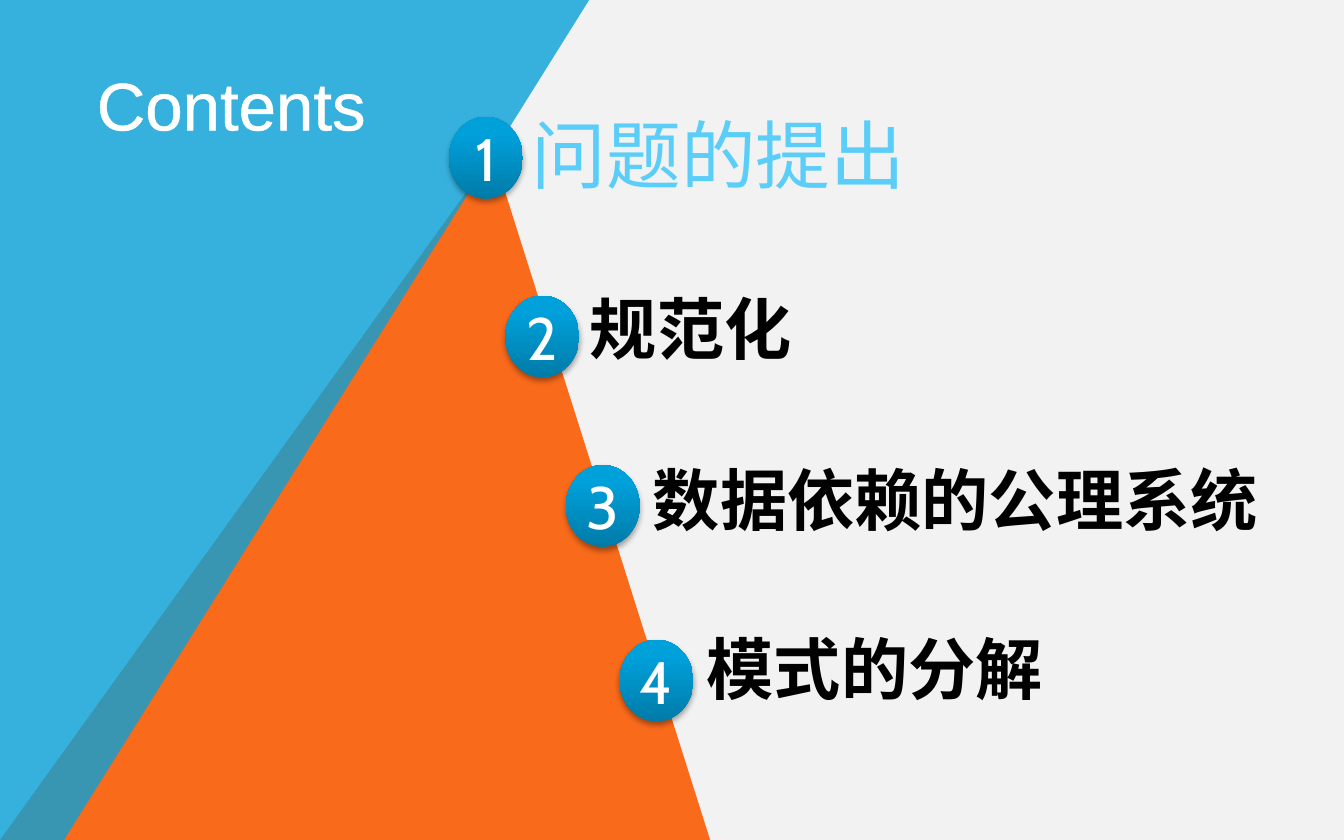
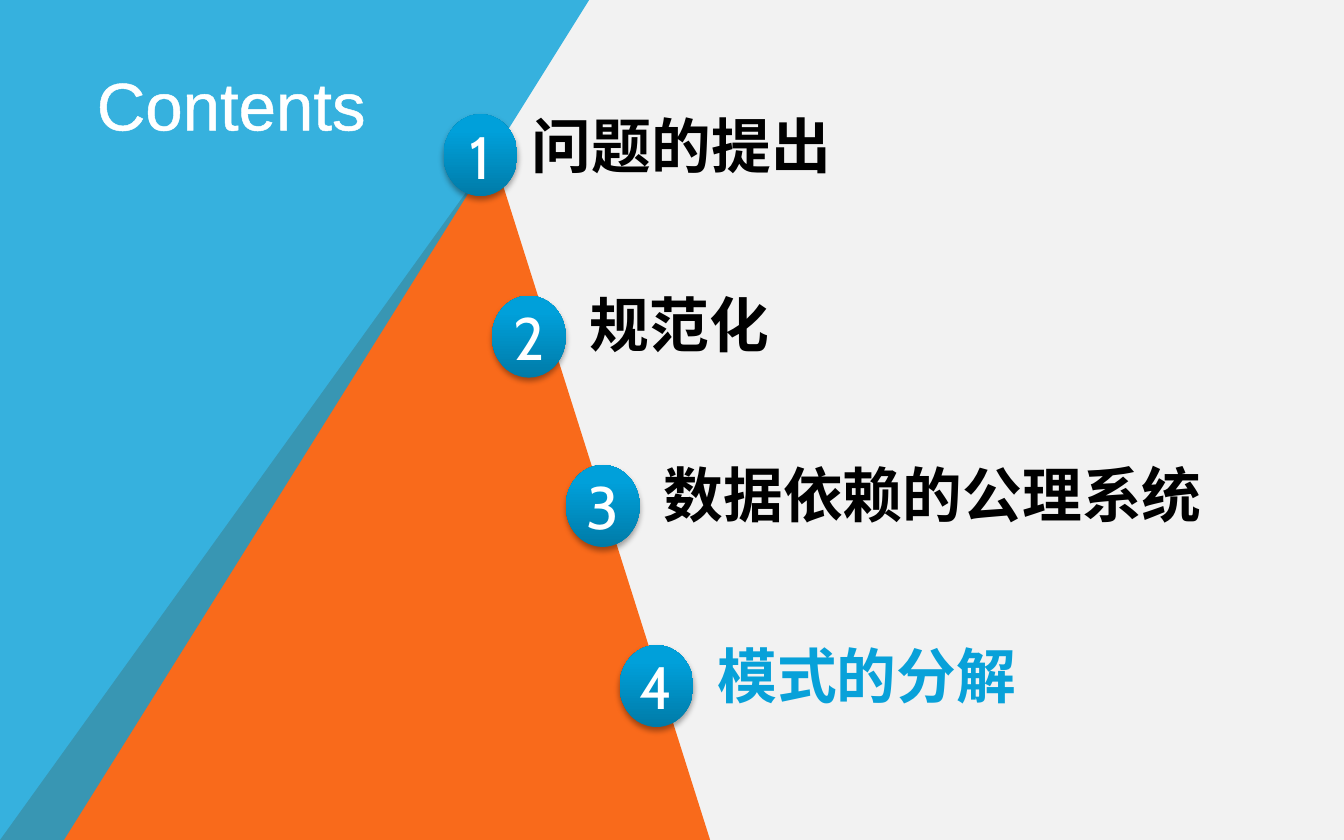
"""Build two agenda slides that share a layout with angled colour panels."""
from dataclasses import dataclass
from typing import Optional

from lxml.etree import SubElement
from pptx import Presentation
from pptx.dml.color import RGBColor
from pptx.enum.lang import MSO_LANGUAGE_ID
from pptx.enum.shapes import MSO_SHAPE
from pptx.enum.text import MSO_ANCHOR, MSO_AUTO_SIZE, PP_ALIGN
from pptx.oxml import parse_xml
from pptx.oxml.ns import nsdecls, qn
from pptx.util import Inches, Pt

WIDTH, HEIGHT = Inches(10), Inches(6.25)
COLS, ROWS = 100, 62.5
COLORS = {
    "paper": "F2F2F2", "orange": "F96A1B", "blue": "08A1D9", "sky": "5ACEF9",
    "disc_low": "007BA8", "disc_mid": "00A0DA", "disc_top": "00A0DB",
    "white": "FFFFFF", "black": "000000",
}
TEXT_FONT, NUMBER_FONT = "Arial", "Cabin"
DISC_W, DISC_H = 5.5, 6.1
TOPICS = ["问题的提出", "规范化", "数据依赖的公理系统", "模式的分解"]


@dataclass
class Panel:
    """A filled polygon with corners in columns and rows."""
    corners: list[tuple[float, float]]
    color: str
    alpha: Optional[int] = None


@dataclass
class Entry:
    """Grid places of one numbered disc and its label."""
    disc_x: float
    disc_y: float
    x: float
    y: float
    w: float
    size: int = 32
    color: str = "black"
    bold: bool = True


PANELS = [
    Panel([(0, 62.5), (36.7, 11.5), (52.9, 62.7)], "orange"),
    Panel([(-0.1, 62.9), (0, -0.1), (43.9, -0.1), (4.7, 62.6)], "blue", 80),
]
AGENDAS = [
    [Entry(33.4, 8.7, 38.6, 7.6, 35.8, 40, "sky", False),
     Entry(37.6, 22, 42.9, 20.9, 20.9, 36),
     Entry(42.1, 34.6, 47.6, 33.6, 49.6, 36),
     Entry(46.1, 47.6, 51.6, 46.2, 38.6, 36)],
    [Entry(33, 8.5, 38.6, 7.6, 35.8),
     Entry(36.6, 22, 42.9, 20.9, 16.6),
     Entry(42.1, 34.6, 48.4, 33.6, 44.1),
     Entry(46.1, 48, 52.4, 47, 24.4, color="blue")],
]


def col(n: float) -> int:
    """Return the length of n columns."""
    return round(WIDTH * n / COLS)


def row(n: float) -> int:
    """Return the length of n rows."""
    return round(HEIGHT * n / ROWS)


def rgb(name: str) -> RGBColor:
    """Look up a named colour."""
    return RGBColor.from_string(COLORS[name])


def style_text(tf, size: int, color: str, font: str, bold: bool = False) -> None:
    """Format the single run of a text frame."""
    f = tf.paragraphs[0].runs[0].font
    f.size, f.name, f.bold = Pt(size), font, bold
    f.color.rgb = rgb(color)


def draw_panel(s, layout, panel: Panel) -> None:
    """Draw a panel and move it to the shared layout."""
    points = [(col(x), row(y)) for x, y in panel.corners]
    builder = s.shapes.build_freeform(*points[0], scale=1.0)
    builder.add_line_segments(points[1:], close=True)
    sp = builder.convert_to_shape()
    sp.shadow.inherit = False
    sp.fill.solid()
    sp.fill.fore_color.rgb = rgb(panel.color)
    sp.line.fill.background()
    if panel.alpha:
        clr = sp._element.spPr.find(".//" + qn("a:srgbClr"))
        SubElement(clr, qn("a:alpha"), val=str(panel.alpha * 1000))
    layout.shapes._spTree.append(sp._element)


def draw_title(s) -> None:
    """Place and format the title."""
    sp = s.shapes.title
    sp.left, sp.top, sp.width, sp.height = col(6.2), row(3.7), col(26.8), row(5.9)
    tf = sp.text_frame
    tf.text = "Contents"
    tf.auto_size = MSO_AUTO_SIZE.NONE
    tf.vertical_anchor = MSO_ANCHOR.TOP
    tf.margin_top = row(1)
    p = tf.paragraphs[0]
    p.alignment = PP_ALIGN.LEFT
    style_text(tf, 36, "white", TEXT_FONT)
    p.runs[0]._r.get_or_add_rPr().insert(0, parse_xml(
        f'<a:ln {nsdecls("a")} w="{Pt(1.45)}"><a:solidFill>'
        f'<a:srgbClr val="{COLORS["white"]}"/></a:solidFill></a:ln>'))


def draw_disc(s, number: int, entry: Entry) -> None:
    """Draw a shaded disc holding its number."""
    sp = s.shapes.add_shape(MSO_SHAPE.OVAL, col(entry.disc_x), row(entry.disc_y),
                            col(DISC_W), row(DISC_H))
    sp.line.fill.background()
    stops = "".join(
        f'<a:gs pos="{pos * 1000}"><a:srgbClr val="{COLORS[name]}"/></a:gs>'
        for pos, name in ((0, "disc_low"), (80, "disc_mid"), (100, "disc_top")))
    sp._element.spPr.insert(2, parse_xml(
        f'<a:gradFill {nsdecls("a")} rotWithShape="1"><a:gsLst>{stops}</a:gsLst>'
        '<a:lin ang="16200000" scaled="0"/></a:gradFill>'))
    sp._element.spPr.append(parse_xml(
        f'<a:effectLst {nsdecls("a")}><a:outerShdw blurRad="{Pt(3.1)}" '
        f'dist="{Pt(1.8)}" dir="5400000" rotWithShape="0">'
        f'<a:srgbClr val="{COLORS["black"]}"><a:alpha val="35000"/></a:srgbClr>'
        '</a:outerShdw></a:effectLst>'))
    tf = sp.text_frame
    tf.text = str(number)
    tf.word_wrap = False
    tf.vertical_anchor = MSO_ANCHOR.MIDDLE
    tf.paragraphs[0].alignment = PP_ALIGN.CENTER
    style_text(tf, 32, "white", NUMBER_FONT)


def draw_label(s, topic: str, entry: Entry) -> None:
    """Write a topic beside its disc."""
    height = Pt(entry.size * 1.2) + row(1)
    sp = s.shapes.add_textbox(col(entry.x), row(entry.y), col(entry.w), height)
    tf = sp.text_frame
    tf.word_wrap = True
    tf.auto_size = MSO_AUTO_SIZE.SHAPE_TO_FIT_TEXT
    tf.text = topic
    p = tf.paragraphs[0]
    p.alignment = PP_ALIGN.JUSTIFY
    style_text(tf, entry.size, entry.color, TEXT_FONT, entry.bold)
    p.runs[0].font.language_id = MSO_LANGUAGE_ID.SIMPLIFIED_CHINESE


def main() -> None:
    """Build and save the deck."""
    prs = Presentation()
    prs.slide_width, prs.slide_height = WIDTH, HEIGHT
    layout = prs.slide_layouts[5]
    layout.background.fill.solid()
    layout.background.fill.fore_color.rgb = rgb("paper")
    slides = [prs.slides.add_slide(layout) for _ in AGENDAS]
    for panel in PANELS:
        draw_panel(slides[0], layout, panel)
    for s, agenda in zip(slides, AGENDAS):
        draw_title(s)
        for number, (topic, entry) in enumerate(zip(TOPICS, agenda), 1):
            draw_disc(s, number, entry)
            draw_label(s, topic, entry)
    prs.save("out.pptx")


if __name__ == "__main__":
    main()
